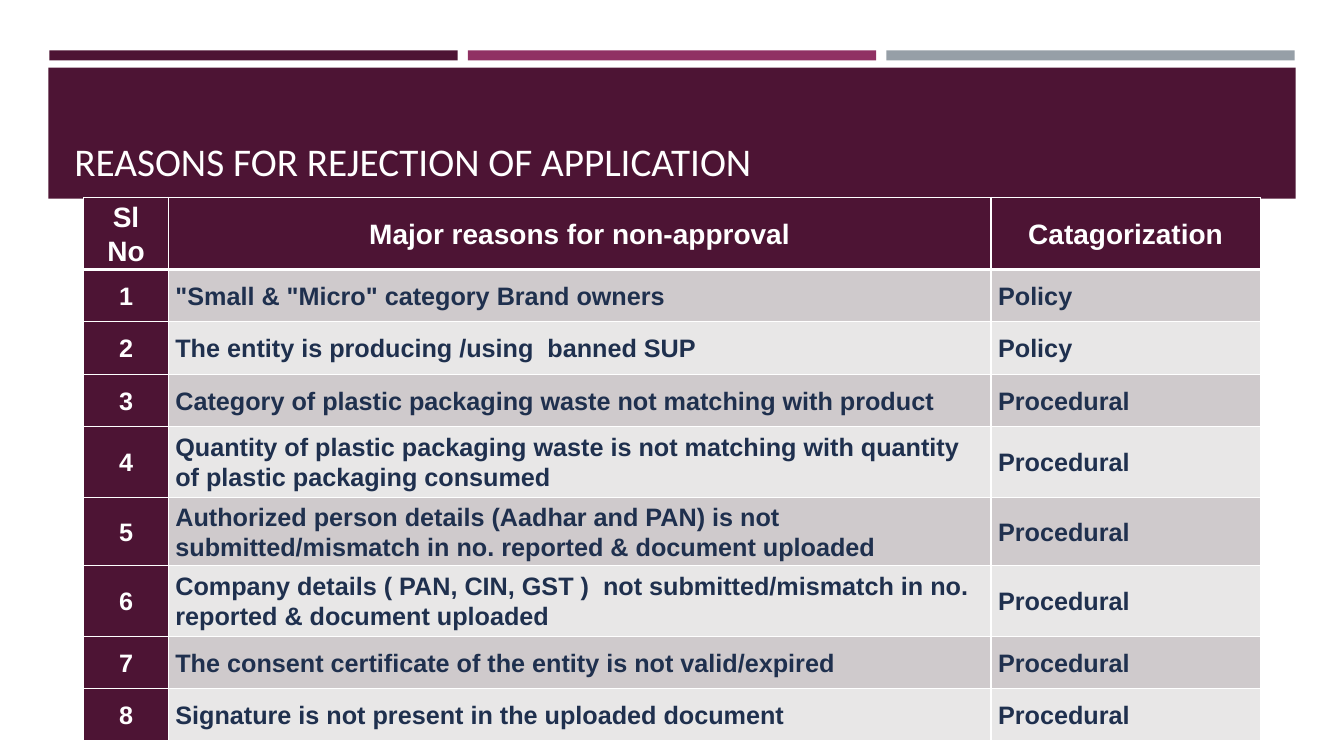
from lxml import etree
from pptx import Presentation
from pptx.dml.color import RGBColor
from pptx.enum.shapes import MSO_SHAPE
from pptx.enum.text import MSO_ANCHOR, PP_ALIGN
from pptx.oxml.ns import qn
from pptx.util import Inches, Pt

RECTANGLE = MSO_SHAPE.RECTANGLE
MIDDLE, BOTTOM = MSO_ANCHOR.MIDDLE, MSO_ANCHOR.BOTTOM
LEFT, CENTER = PP_ALIGN.LEFT, PP_ALIGN.CENTER

WHITE = RGBColor(0xFF, 0xFF, 0xFF)
PLUM = RGBColor(0x4D, 0x14, 0x34)
MAGENTA = RGBColor(0x90, 0x31, 0x63)
GRAY = RGBColor(0x96, 0x9F, 0xA7)
NAVY = RGBColor(0x1F, 0x30, 0x4E)
DARK_BAND = RGBColor(0xCF, 0xCA, 0xCC)
LIGHT_BAND = RGBColor(0xE8, 0xE7, 0xE7)

HEADERS = ("Sl No", "Major reasons for non-approval", "Catagorization")
REASONS = (
    ('"Small & "Micro" category Brand owners', "Policy"),
    ("The entity is producing /using  banned SUP", "Policy"),
    ("Category of plastic packaging waste not matching with product", "Procedural"),
    ("Quantity of plastic packaging waste is not matching with quantity "
     "of plastic packaging consumed", "Procedural"),
    ("Authorized person details (Aadhar and PAN) is not submitted/mismatch "
     "in no. reported & document uploaded", "Procedural"),
    ("Company details ( PAN, CIN, GST )  not submitted/mismatch in no. "
     "reported & document uploaded", "Procedural"),
    ("The consent certificate of the entity is not valid/expired", "Procedural"),
    ("Signature is not present in the uploaded document", "Procedural"),
)
COLUMN_WIDTHS = (0.84, 8.16, 2.67)
ROW_HEIGHTS = (0.52, 0.52, 0.52, 0.52, 0.7, 0.68, 0.7, 0.52, 0.52)


def add_bar(left, top, width, height, color):
    bar = slide.shapes.add_shape(
        RECTANGLE, Inches(left), Inches(top), Inches(width), Inches(height))
    bar.shadow.inherit = False
    bar.fill.solid()
    bar.fill.fore_color.rgb = color
    bar.line.fill.background()


def add_cell_borders(cell, top, bottom):
    """Draw white borders; top and bottom are widths in points, the sides are 1."""
    properties = cell._tc.get_or_add_tcPr()
    for side, width in (("L", 1), ("R", 1), ("T", top), ("B", bottom)):
        border = etree.SubElement(properties, qn(f"a:ln{side}"), w=str(Pt(width)))
        fill = etree.SubElement(border, qn("a:solidFill"))
        etree.SubElement(fill, qn("a:srgbClr"), val=str(WHITE))


presentation = Presentation()
presentation.slide_width = Inches(13.33)
presentation.slide_height = Inches(7.5)
slide = presentation.slides.add_slide(presentation.slide_layouts[6])

# Accent bars and title band
for index, color in enumerate((PLUM, MAGENTA, GRAY)):
    add_bar(0.49 + index * 4.15, 0.5, 4.05, 0.1, color)
add_bar(0.48, 0.67, 12.37, 1.3, PLUM)

# Title
title = slide.shapes.add_textbox(Inches(0.64), Inches(0.77), Inches(12.06), Inches(1.11))
title_frame = title.text_frame
title_frame.word_wrap = True
title_frame.vertical_anchor = BOTTOM
paragraph = title_frame.paragraphs[0]
paragraph.text = "REASONS FOR REJECTION OF APPLICATION"
paragraph.font.name = "Calibri"
paragraph.font.size = Pt(28)
paragraph.font.color.rgb = WHITE

# Table of reasons
rows = [HEADERS] + [(str(number), *reason) for number, reason in enumerate(REASONS, 1)]
table = slide.shapes.add_table(
    len(rows), len(HEADERS), Inches(0.83), Inches(1.96),
    Inches(sum(COLUMN_WIDTHS)), Inches(sum(ROW_HEIGHTS))).table
for column, width in zip(table.columns, COLUMN_WIDTHS):
    column.width = Inches(width)
for row, height in zip(table.rows, ROW_HEIGHTS):
    row.height = Inches(height)

for row_index, texts in enumerate(rows):
    is_header = row_index == 0
    band = DARK_BAND if row_index % 2 else LIGHT_BAND
    for column_index, text in enumerate(texts):
        is_heading = is_header or column_index == 0
        cell = table.cell(row_index, column_index)
        add_cell_borders(cell, top=3 if row_index == 1 else 1, bottom=3 if is_header else 1)
        cell.fill.solid()
        cell.fill.fore_color.rgb = PLUM if is_heading else band
        cell.vertical_anchor = MIDDLE
        cell.margin_left = cell.margin_right = Inches(0.07)
        cell.margin_top = cell.margin_bottom = 0
        paragraph = cell.text_frame.paragraphs[0]
        paragraph.text = text
        paragraph.alignment = CENTER if is_heading else LEFT
        paragraph.line_spacing = 1.07
        paragraph.font.name = "Arial"
        paragraph.font.size = Pt(20 if is_header else 18)
        paragraph.font.bold = True
        paragraph.font.color.rgb = WHITE if is_heading else NAVY

presentation.save("out.pptx")
